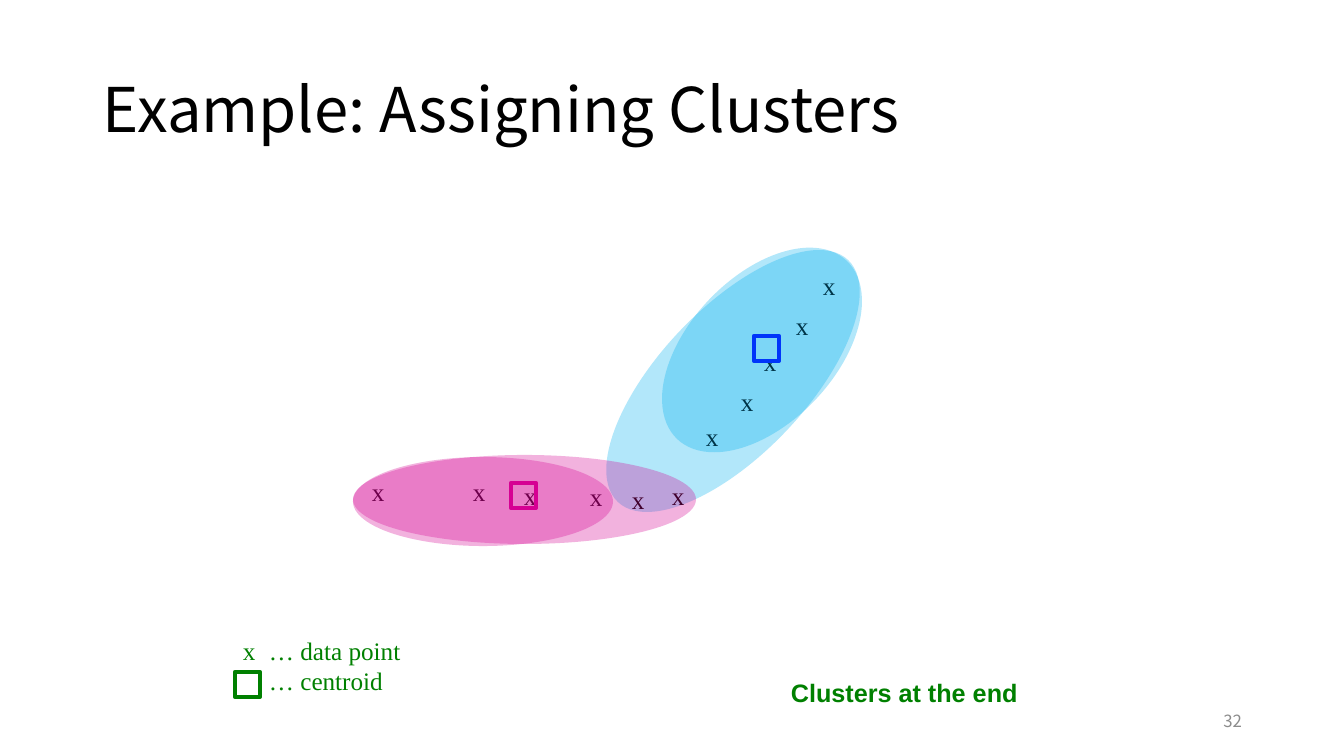
"""Build a slide showing two point clusters and their centroids."""
from lxml.etree import SubElement
from pptx import Presentation
from pptx.dml.color import RGBColor
from pptx.enum.shapes import MSO_SHAPE
from pptx.enum.text import MSO_ANCHOR, PP_ALIGN
from pptx.oxml.ns import qn
from pptx.util import Pt

PX = 914400 / 100.8
SANS, SERIF = "Noto Sans CJK SC", "Times New Roman"
BLACK, GREEN, BLUE, PINK, SKY = "000000", "008000", "0000FF", "D60093", "00B0F0"

deck = Presentation()
deck.slide_width, deck.slide_height = round(1344 * PX), round(756 * PX)
slide = deck.slides.add_slide(deck.slide_layouts[6])


def add_text(box, lines, font, size, color, bold=False):
    shape = slide.shapes.add_textbox(*[round(n * PX) for n in box])
    frame = shape.text_frame
    frame.word_wrap = True
    for i, line in enumerate(lines):
        para = frame.add_paragraph() if i else frame.paragraphs[0]
        run = para.add_run()
        run.text = line
        run.font.name, run.font.size, run.font.bold = font, Pt(size), bold
        run.font.color.rgb = RGBColor.from_string(color)
    return frame


def add_form(kind, box, fill=None, line=None, turn=0):
    shape = slide.shapes.add_shape(kind, *[round(n * PX) for n in box])
    shape.shadow.inherit = False
    shape.rotation = turn
    if fill:
        shape.fill.solid()
        shape.fill.fore_color.rgb = RGBColor.from_string(fill)
        tint = shape.fill._xPr.find(qn("a:solidFill"))[0]
        SubElement(tint, qn("a:alpha"), val="30000")
    else:
        shape.fill.background()
    if line:
        shape.line.color.rgb = RGBColor.from_string(line)
        shape.line.width = Pt(3)
    else:
        shape.line.fill.background()


add_form(MSO_SHAPE.OVAL, (660, 214, 146, 334), fill=SKY, turn=43.6)

title = add_text((93, 40, 1159, 146), ["Example: Assigning Clusters"], SANS, 44, BLACK)
title.vertical_anchor = MSO_ANCHOR.MIDDLE
title.paragraphs[0].line_spacing = 0.9

number = add_text((950, 701, 302, 40), ["32"], SANS, 12, "8C8C8C")
number.vertical_anchor = MSO_ANCHOR.MIDDLE
number.paragraphs[0].alignment = PP_ALIGN.RIGHT

points = [(362, 471), (463, 471), (514, 475), (580, 476), (622, 479), (662, 475),
          (696, 416), (731, 381), (754, 341), (786, 305), (813, 265)]
for left, top in points:
    add_text((left, top, 33, 40), ["x"], SERIF, 18, BLACK)

legend = add_text((233, 630, 190, 72), ["x\t… data point", "\t… centroid"],
                  SERIF, 18, GREEN)
for para in legend.paragraphs:
    tabs = SubElement(para._p.get_or_add_pPr(), qn("a:tabLst"))
    SubElement(tabs, qn("a:tab"), pos=str(round(26 * PX)), algn="l")

for left, top, color in [(235, 672, GREEN), (754, 336, BLUE), (511, 483, PINK)]:
    add_form(MSO_SHAPE.RECTANGLE, (left, top, 25, 25), line=color)

for box, color, turn in [((353, 457, 260, 89), PINK, 0),
                         ((353, 455, 343, 89), PINK, 0),
                         ((689, 227, 146, 246), SKY, 43.6)]:
    add_form(MSO_SHAPE.OVAL, box, fill=color, turn=turn)

add_text((781, 672, 249, 40), ["Clusters at the end"], "Arial", 18, GREEN, bold=True)

deck.save("out.pptx")
